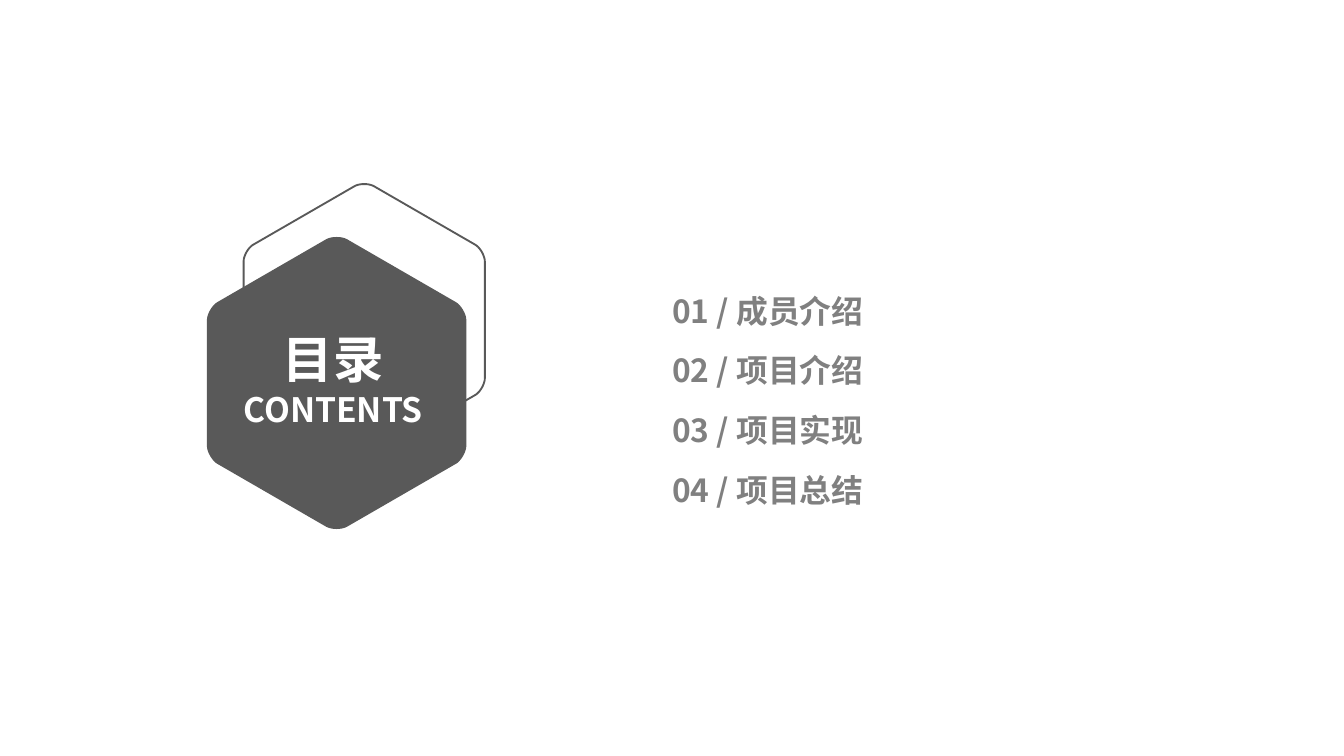
import math

import pptx
import pptx.dml.color
import pptx.enum.text
import pptx.util

Inches = pptx.util.Inches
Pt = pptx.util.Pt

FONT = "Noto Sans CJK SC"
DARK, GREY, WHITE = "595959", "808080", "FFFFFF"
TOPICS = ["成员介绍", "项目介绍", "项目实现", "项目总结"]


def colour(value):
    return pptx.dml.color.RGBColor.from_string(value)


def add_span(para, text, size, value):
    span = para.add_run()
    span.text = text
    span.font.size = Pt(size)
    span.font.bold = True
    span.font.name = FONT
    span.font.color.rgb = colour(value)
    properties = span.font._element
    east_asian = properties.makeelement(pptx.oxml.ns.qn("a:ea"), {"typeface": FONT})
    properties.find(pptx.oxml.ns.qn("a:latin")).addnext(east_asian)


def prepare_frame(holder, left, top, width, height):
    """Move a placeholder and return its emptied, top-anchored text frame."""
    holder.left, holder.top = Inches(left), Inches(top)
    holder.width, holder.height = Inches(width), Inches(height)
    frame = holder.text_frame
    frame.clear()
    frame.word_wrap = True
    frame.auto_size = pptx.enum.text.MSO_AUTO_SIZE.NONE
    frame.vertical_anchor = pptx.enum.text.MSO_ANCHOR.TOP
    frame.margin_left = frame.margin_right = Inches(0.07)
    frame.margin_top = frame.margin_bottom = Inches(0.04)
    return frame


def next_para(frame, index, align):
    para = frame.paragraphs[0] if index == 0 else frame.add_paragraph()
    para.alignment = align
    para.line_spacing = 1.0
    para.space_before = Pt(0)
    return para


def hexagon_points(centre_x, centre_y, width, steps=10):
    """Outline of a regular hexagon, point up, with rounded corners."""
    radius = width / math.sqrt(3)
    cut = 0.08
    corners = [(centre_x + radius * math.sin(k * math.pi / 3),
                centre_y - radius * math.cos(k * math.pi / 3)) for k in range(6)]
    points = []
    for k, corner in enumerate(corners):
        before, after = corners[k - 1], corners[(k + 1) % 6]
        for step in range(steps + 1):
            t = step / steps
            # Cubic curve whose handles reach halfway to the sharp corner
            to_before = cut * ((1 - t) ** 3 + 1.5 * t * (1 - t) ** 2)
            to_after = cut * (t ** 3 + 1.5 * t ** 2 * (1 - t))
            points.append(tuple(c + to_before * (b - c) + to_after * (a - c)
                                for b, c, a in zip(before, corner, after)))
    return points


def add_hexagon(page, centre_x, centre_y, width):
    points = [(Inches(x), Inches(y)) for x, y in hexagon_points(centre_x, centre_y, width)]
    builder = page.shapes.build_freeform(*points[0])
    builder.add_line_segments(points[1:], close=True)
    hexagon = builder.convert_to_shape()
    hexagon.shadow.inherit = False
    return hexagon


def add_badge(page, left, top, width):
    """Outlined hexagon behind a filled one that carries the title."""
    outline = add_hexagon(page, left + 1.17, top + 1.02, width * 0.93)
    outline.fill.background()
    outline.line.color.rgb = colour(DARK)
    outline.line.width = Pt(1)

    solid = add_hexagon(page, left + width / 2, top + 1.49, width)
    solid.fill.solid()
    solid.fill.fore_color.rgb = colour(DARK)
    solid.line.fill.background()

    title = page.shapes.title
    solid._element.addnext(title._element)
    frame = prepare_frame(title, left + 0.03, top + 1.04, 1.82, 0.83)
    for index, (text, size) in enumerate([("目录", 27), ("CONTENTS", 18)]):
        para = next_para(frame, index, pptx.enum.text.PP_ALIGN.CENTER)
        add_span(para, text, size, WHITE)


def fill_topics(page, left, top, width, height):
    frame = prepare_frame(page.placeholders[1], left, top, width, height)
    for index, topic in enumerate(TOPICS):
        para = next_para(frame, index, pptx.enum.text.PP_ALIGN.LEFT)
        para.space_after = Pt(11.5)
        properties = para._p.get_or_add_pPr()
        properties.set("marL", "0")
        properties.set("indent", "0")
        properties.append(properties.makeelement(pptx.oxml.ns.qn("a:buNone"), {}))
        add_span(para, f"{index + 1:02d} / {topic}", 17, GREY)


def main():
    deck = pptx.Presentation()
    deck.slide_width = Inches(10)
    deck.slide_height = deck.slide_width * 9 // 16
    page = deck.slides.add_slide(deck.slide_layouts[1])
    add_badge(page, 1.54, 1.36, 1.93)
    fill_topics(page, 4.93, 2.13, 3.26, 1.97)
    deck.save("out.pptx")


if __name__ == "__main__":
    main()
